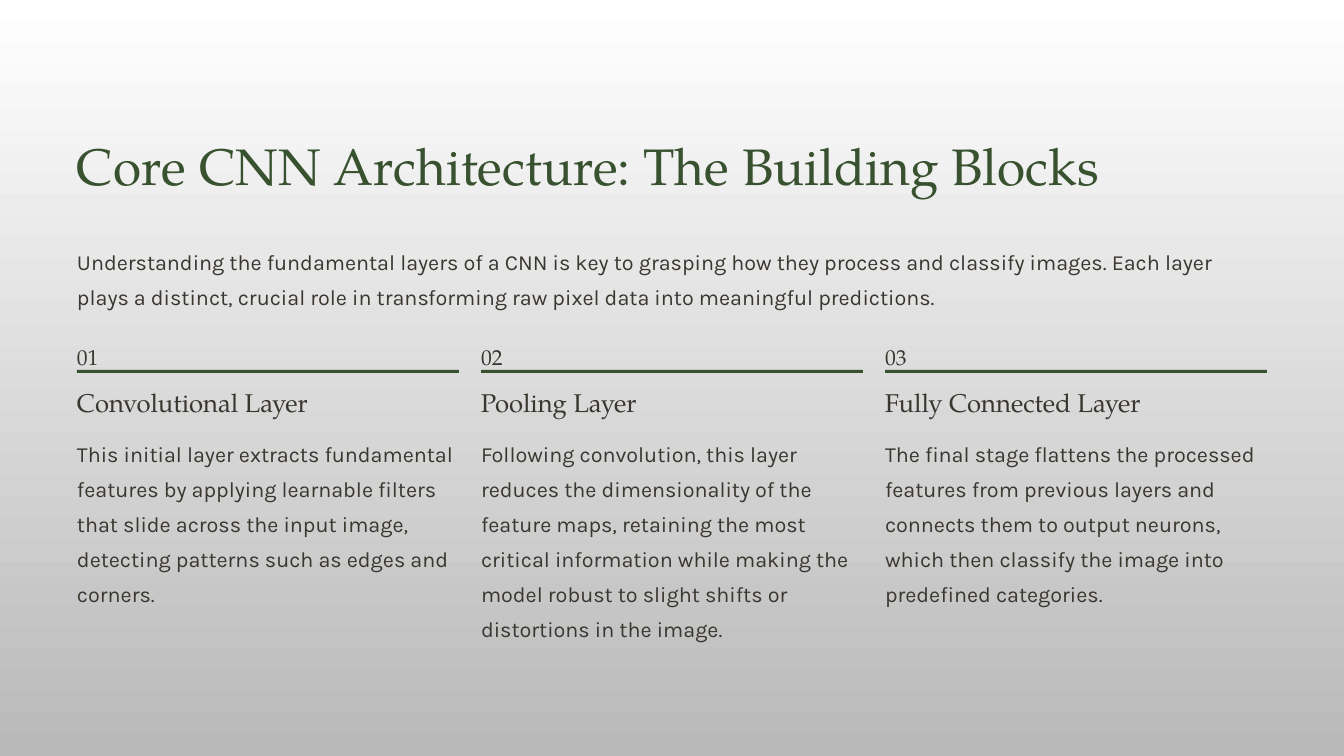
from dataclasses import dataclass

from pptx import Presentation
from pptx.dml.color import RGBColor
from pptx.enum.shapes import MSO_SHAPE
from pptx.util import Emu, Pt

RECTANGLE = MSO_SHAPE.RECTANGLE
PX_PER_INCH = 84


@dataclass(frozen=True)
class Style:
    """Font, size, line pitch and colour of one kind of text."""
    font: str
    size: float
    pitch: float
    color: str


@dataclass(frozen=True)
class Theme:
    """Colours and type styles of the slide."""
    green: str = "38512F"
    backdrop: tuple = ("FFFFFF", "B9B9B9")
    title: Style = Style("TeX Gyre Pagella", 44, 55, "38512F")
    number: Style = Style("TeX Gyre Pagella", 18.5, 30, "3A3630")
    heading: Style = Style("TeX Gyre Pagella", 22, 27.5, "3A3630")
    body: Style = Style("Karla", 18.5, 30, "3A3630")


THEME = Theme()
TITLE = "Core CNN Architecture: The Building Blocks"
INTRO = (
    "Understanding the fundamental layers of a CNN is key to grasping how they "
    "process and classify images. Each layer plays a distinct, crucial role in "
    "transforming raw pixel data into meaningful predictions."
)
LAYERS = [
    ("Convolutional Layer",
     "This initial layer extracts fundamental features by applying learnable "
     "filters that slide across the input image, detecting patterns such as "
     "edges and corners."),
    ("Pooling Layer",
     "Following convolution, this layer reduces the dimensionality of the "
     "feature maps, retaining the most critical information while making the "
     "model robust to slight shifts or distortions in the image."),
    ("Fully Connected Layer",
     "The final stage flattens the processed features from previous layers and "
     "connects them to output neurons, which then classify the image into "
     "predefined categories."),
]


def px(n):
    """Turn pixels into EMU."""
    return Emu(round(n * 914400 / PX_PER_INCH))


def add_text(slide, box, text, style, wrap=False):
    """Add a text box without margins in the given style."""
    tf = slide.shapes.add_textbox(*map(px, box)).text_frame
    tf.margin_left = tf.margin_top = tf.margin_right = tf.margin_bottom = 0
    tf.word_wrap = wrap
    tf.text = text
    p = tf.paragraphs[0]
    p.line_spacing = Pt(style.pitch)
    font = p.runs[0].font
    font.name = style.font
    font.size = Pt(style.size)
    font.color.rgb = RGBColor.from_string(style.color)


def add_rule(slide, box):
    """Add a solid green bar."""
    sp = slide.shapes.add_shape(RECTANGLE, *map(px, box))
    sp.shadow.inherit = False
    sp.fill.solid()
    sp.fill.fore_color.rgb = RGBColor.from_string(THEME.green)
    sp.line.fill.background()


def paint_background(slide):
    """Fill the background with a gradient from top to bottom."""
    fill = slide.background.fill
    fill.gradient()
    fill.gradient_angle = 270
    for stop, color in zip(fill.gradient_stops, THEME.backdrop):
        stop.color.rgb = RGBColor.from_string(color)


def add_header(slide, box):
    """Place the title and the introduction."""
    x, y, w, h = box
    add_text(slide, (x, y, 1061, 65), TITLE, THEME.title)
    add_text(slide, (x, y + 108, w, h - 108), INTRO, THEME.body, wrap=True)


def add_layer(slide, box, number, heading, body):
    """Place one numbered layer: number, rule, heading and description."""
    x, y, w, h = box
    add_text(slide, (x, y, 22, 28), f"{number:02}", THEME.number)
    add_rule(slide, (x, y + 35, w, 3))
    add_text(slide, (x, y + 51, 260, 32), heading, THEME.heading)
    add_text(slide, (x, y + 97, w, h - 97), body, THEME.body, wrap=True)


def add_layers(slide, box, gap):
    """Spread the layers over equal columns."""
    x, y, w, h = box
    count = len(LAYERS)
    col = (w - gap * (count - 1)) // count
    for i, (heading, body) in enumerate(LAYERS):
        left = x + i * (col + gap)
        add_layer(slide, (left, y, col, h), i + 1, heading, body)


def main():
    """Build the slide and save it."""
    prs = Presentation()
    prs.slide_width, prs.slide_height = px(1344), px(756)
    slide = prs.slides.add_slide(prs.slide_layouts[6])
    paint_background(slide)
    add_header(slide, (77, 132, 1190, 179))
    add_layers(slide, (77, 335, 1190, 273), gap=22)
    prs.save("out.pptx")


if __name__ == "__main__":
    main()
